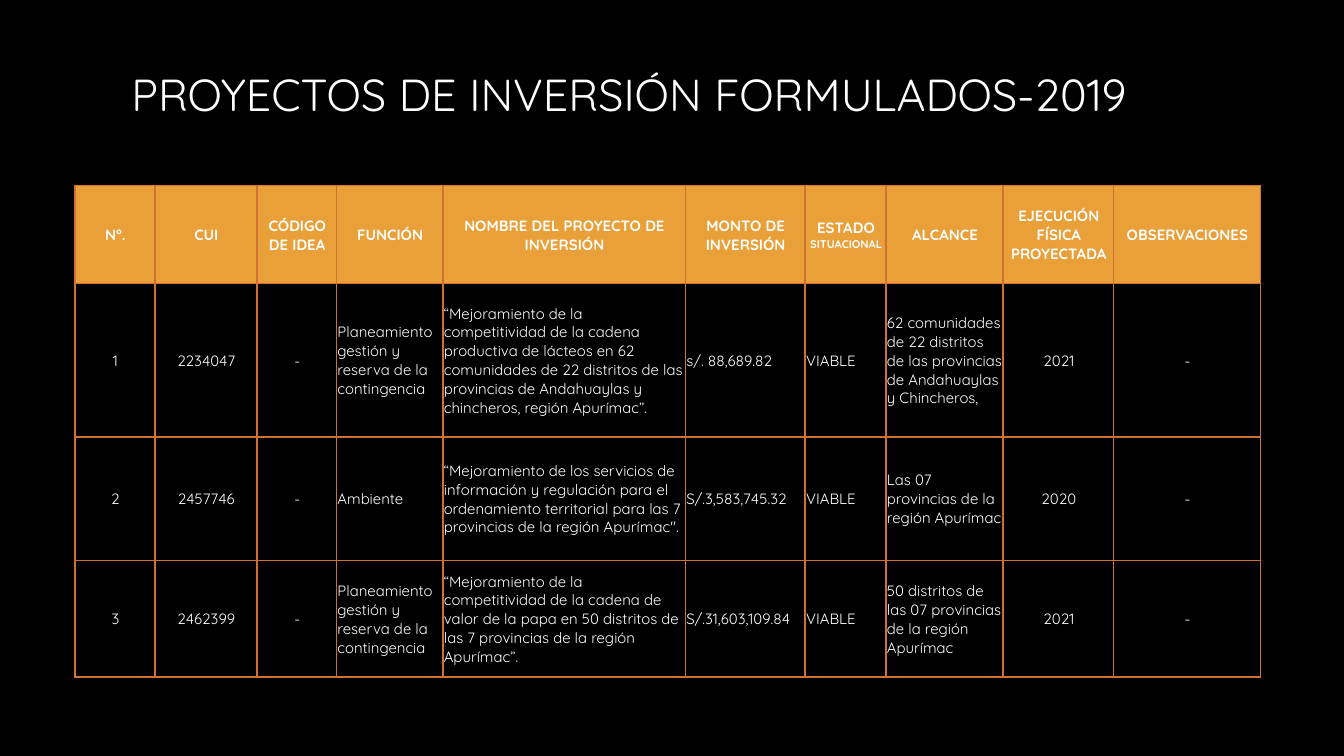
from dataclasses import dataclass

from lxml import etree
from pptx import Presentation
from pptx.dml.color import RGBColor
from pptx.enum.text import MSO_ANCHOR, PP_ALIGN
from pptx.oxml.ns import qn
from pptx.util import Inches, Pt

CENTER, LEFT = PP_ALIGN.CENTER, PP_ALIGN.LEFT
MIDDLE, BOTTOM = MSO_ANCHOR.MIDDLE, MSO_ANCHOR.BOTTOM
COLORS = {"background": "000000", "text": "FFFFFF", "header": "E9A039", "border": "CF7133"}
BLANK_LAYOUT = 6
SLIDE_WIDTH = Inches(10)
SLIDE_HEIGHT = SLIDE_WIDTH * 9 // 16
TITLE = "PROYECTOS DE INVERSIÓN FORMULADOS-2019"
TITLE_WORD = {"name": "Quicksand", "size": Pt(24), "bold": False}
TITLE_SPACE = {"name": "Lato", "size": Pt(28), "bold": True}
HEADING = {"name": "Quicksand", "size": Pt(8), "bold": True}
SMALL_HEADING = {**HEADING, "size": Pt(6)}
BODY = {**HEADING, "bold": False}
CELL_FORMAT = {
    "vertical_anchor": MIDDLE,
    "margin_left": Pt(0.5),
    "margin_right": Inches(0),
    "margin_top": Pt(0.5),
    "margin_bottom": Inches(0),
}
TITLE_FORMAT = {
    "word_wrap": True,
    "vertical_anchor": BOTTOM,
    "margin_left": 0,
    "margin_right": 0,
    "margin_top": 0,
    "margin_bottom": 0,
}
TABLE_WIDTH = 8.82
ROW_HEIGHTS = [0.73, 1.14, 0.92, 0.87]


@dataclass(frozen=True)
class Column:
    heading: str
    share: float
    align: PP_ALIGN = CENTER
    small_heading: str = ""


@dataclass(frozen=True)
class Project:
    number: str
    cui: str
    function: str
    name: str
    amount: str
    scope: str
    year: str
    idea_code: str = "-"
    status: str = "VIABLE"
    remarks: str = "-"

    def values(self) -> list[str]:
        return [self.number, self.cui, self.idea_code, self.function, self.name,
                self.amount, self.status, self.scope, self.year, self.remarks]


COLUMNS = [
    Column("N°.", 0.59),
    Column("CUI", 0.76),
    Column("CÓDIGO DE IDEA", 0.59),
    Column("FUNCIÓN", 0.79, LEFT),
    Column("NOMBRE DEL PROYECTO DE INVERSIÓN", 1.8, LEFT),
    Column("MONTO DE INVERSIÓN", 0.89, LEFT),
    Column("ESTADO ", 0.6, LEFT, "SITUACIONAL"),
    Column("ALCANCE", 0.87, LEFT),
    Column("EJECUCIÓN FÍSICA PROYECTADA", 0.82),
    Column("OBSERVACIONES", 1.09),
]
PLANNING = "Planeamiento gestión y reserva de la contingencia"
PROJECTS = [
    Project("1", "2234047", PLANNING,
            "“Mejoramiento de la competitividad de la cadena productiva de lácteos en 62 "
            "comunidades de 22 distritos de las provincias de Andahuaylas y chincheros, "
            "región Apurímac”.",
            "s/. 88,689.82",
            "62 comunidades de 22 distritos de las provincias de Andahuaylas y Chincheros,",
            "2021"),
    Project("2", "2457746", "Ambiente",
            "“Mejoramiento de los servicios de información y regulación para el "
            "ordenamiento territorial para las 7 provincias de la región Apurímac\".",
            "S/.3,583,745.32", "Las 07 provincias de la región Apurímac", "2020"),
    Project("3", "2462399", PLANNING,
            "“Mejoramiento de la competitividad de la cadena de valor de la papa en 50 "
            "distritos de las 7 provincias de la región Apurímac”.",
            "S/.31,603,109.84", "50 distritos de las 07 provincias de la región Apurímac",
            "2021"),
]


def apply_format(target, values: dict) -> None:
    for attribute, value in values.items():
        setattr(target, attribute, value)


def add_run(paragraph, text: str, font_format: dict) -> None:
    run = paragraph.add_run()
    run.text = text
    apply_format(run.font, font_format)
    run.font.color.rgb = RGBColor.from_string(COLORS["text"])


def draw_borders(cell) -> None:
    properties = cell._tc.get_or_add_tcPr()
    for position, side in enumerate(("lnL", "lnR", "lnT", "lnB")):
        line = etree.Element(qn(f"a:{side}"), w=str(Pt(1)))
        fill = etree.SubElement(line, qn("a:solidFill"))
        etree.SubElement(fill, qn("a:srgbClr"), val=COLORS["border"])
        properties.insert(position, line)


def fill_cell(cell, runs: list[tuple[str, dict]], align: PP_ALIGN, color: str = "") -> None:
    apply_format(cell, CELL_FORMAT)
    paragraph = cell.text_frame.paragraphs[0]
    paragraph.alignment = align
    for text, font_format in runs:
        add_run(paragraph, text, font_format)
    if color:
        cell.fill.solid()
        cell.fill.fore_color.rgb = RGBColor.from_string(color)
    else:
        cell.fill.background()
    draw_borders(cell)


def add_title(slide) -> None:
    frame = slide.shapes.add_textbox(
        Inches(0.35), Inches(0.42), Inches(8.66), Inches(0.49)).text_frame
    apply_format(frame, TITLE_FORMAT)
    paragraph = frame.paragraphs[0]
    paragraph.alignment = CENTER
    for index, word in enumerate(TITLE.split()):
        if index:
            add_run(paragraph, " ", TITLE_SPACE)
        add_run(paragraph, word, TITLE_WORD)


def add_projects(slide) -> None:
    table = slide.shapes.add_table(
        len(ROW_HEIGHTS), len(COLUMNS), Inches(0.56), Inches(1.38),
        Inches(TABLE_WIDTH), Inches(sum(ROW_HEIGHTS))).table
    apply_format(table, {"first_row": False, "horz_banding": False})
    for row, height in zip(table.rows, ROW_HEIGHTS):
        row.height = Inches(height)
    scale = TABLE_WIDTH / sum(column.share for column in COLUMNS)
    for index, column in enumerate(COLUMNS):
        table.columns[index].width = Inches(column.share * scale)
        heading = [(column.heading, HEADING)]
        if column.small_heading:
            heading.append((column.small_heading, SMALL_HEADING))
        fill_cell(table.cell(0, index), heading, CENTER, COLORS["header"])
        for row_index, project in enumerate(PROJECTS, start=1):
            fill_cell(table.cell(row_index, index),
                      [(project.values()[index], BODY)], column.align)


def main() -> None:
    """Build the slide of investment projects formulated in 2019."""
    presentation = Presentation()
    apply_format(presentation, {"slide_width": SLIDE_WIDTH, "slide_height": SLIDE_HEIGHT})
    slide = presentation.slides.add_slide(presentation.slide_layouts[BLANK_LAYOUT])
    slide.background.fill.solid()
    slide.background.fill.fore_color.rgb = RGBColor.from_string(COLORS["background"])
    add_title(slide)
    add_projects(slide)
    presentation.save("out.pptx")


if __name__ == "__main__":
    main()
